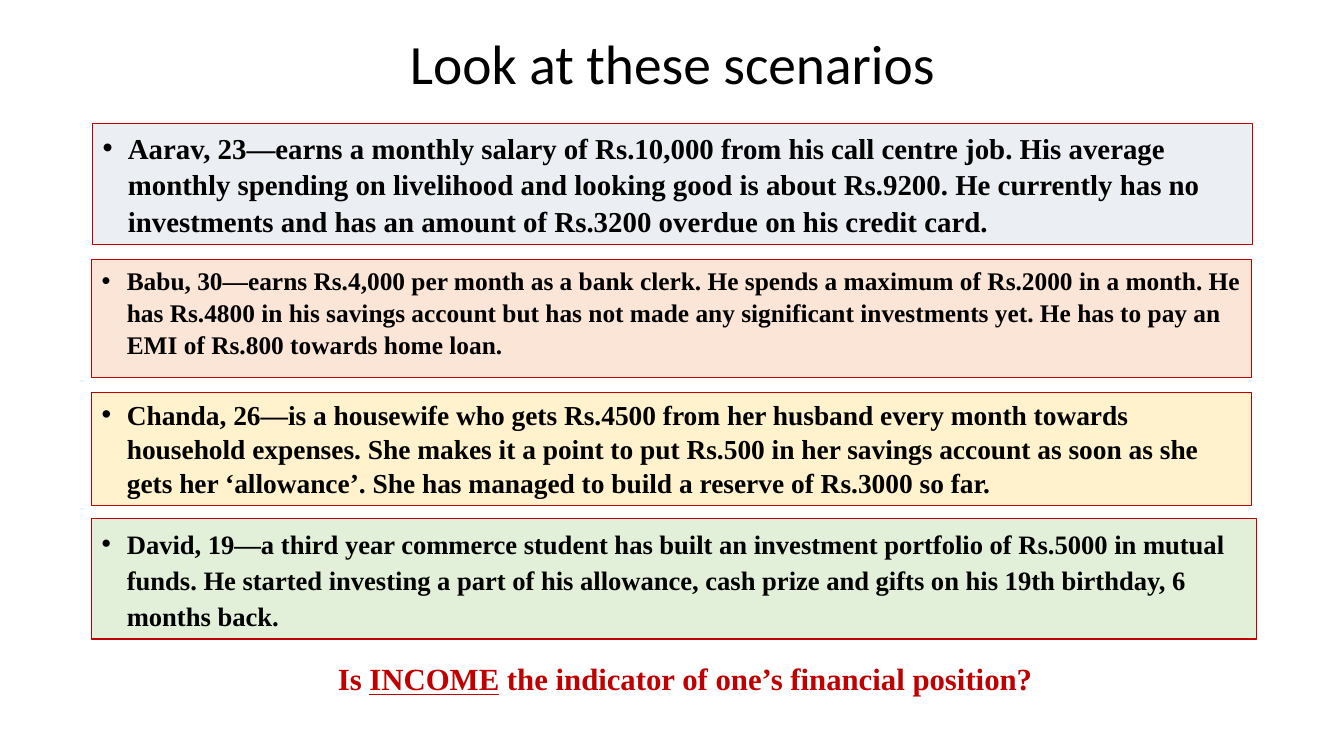
import pptx
import pptx.dml.color
import pptx.enum.shapes
import pptx.enum.text
import pptx.util
from dataclasses import dataclass
from lxml import etree

Inches, Pt = pptx.util.Inches, pptx.util.Pt
ANCHOR, ALIGN = pptx.enum.text.MSO_ANCHOR, pptx.enum.text.PP_ALIGN


@dataclass(frozen=True)
class Theme:
    title_font: str = "Calibri"
    body_font: str = "Times New Roman"
    ink: str = "000000"
    accent: str = "C00000"
    aarav_fill: str = "EBEEF2"
    babu_fill: str = "FBE5D6"
    chanda_fill: str = "FFF2CC"
    david_fill: str = "E2F0D9"
    title_size: float = 39.6
    question_size: float = 22
    aarav_size: float = 20.6
    babu_size: float = 18.1
    chanda_size: float = 19.6
    david_size: float = 19


THEME = Theme()

# Box, fill, type size, line spacing and wording of each scenario
SCENARIOS = [
    ((0.92, 1.23, 11.5, 1.2), THEME.aarav_fill, THEME.aarav_size, 1.05,
     "Aarav, 23—earns a monthly salary of Rs.10,000 from his call centre job. "
     "His average monthly spending on livelihood and looking good is about Rs.9200. "
     "He currently has no investments and has an amount of Rs.3200 overdue on his credit card."),
    ((0.91, 2.57, 11.5, 1.18), THEME.babu_fill, THEME.babu_size, 1.05,
     "Babu, 30—earns Rs.4,000 per month as a bank clerk. He spends a maximum of Rs.2000 "
     "in a month. He has Rs.4800 in his savings account but has not made any significant "
     "investments yet. He has to pay an EMI of Rs.800 towards home loan."),
    ((0.91, 3.89, 11.5, 1.13), THEME.chanda_fill, THEME.chanda_size, 1.03,
     "Chanda, 26—is a housewife who gets Rs.4500 from her husband every month towards "
     "household expenses. She makes it a point to put Rs.500 in her savings account as soon "
     "as she gets her ‘allowance’. She has managed to build a reserve of Rs.3000 so far."),
    ((0.91, 5.14, 11.55, 1.2), THEME.david_fill, THEME.david_size, 1.14,
     "David, 19—a third year commerce student has built an investment portfolio of Rs.5000 "
     "in mutual funds. He started investing a part of his allowance, cash prize and gifts "
     "on his 19th birthday, 6 months back."),
]


def rgb(value):
    return pptx.dml.color.RGBColor.from_string(value)


def add_run(p, text, *, size, font=THEME.body_font, color=THEME.ink, bold=True, underline=False):
    r = p.add_run()
    r.text = text
    r.font.name, r.font.size = font, Pt(size)
    r.font.bold, r.font.underline = bold, underline
    r.font.color.rgb = rgb(color)


def add_bullet(p, indent=0.25):
    pPr = p._p.get_or_add_pPr()
    pPr.set("marL", str(Inches(indent)))
    pPr.set("indent", str(Inches(-indent)))
    ns = pptx.oxml.ns.qn
    etree.SubElement(pPr, ns("a:buFont")).set("typeface", "Arial")
    etree.SubElement(pPr, ns("a:buChar")).set("char", "•")


def add_line(slide, box, anchor):
    """Centred one-line text box; returns its paragraph."""
    tf = slide.shapes.add_textbox(*map(Inches, box)).text_frame
    tf.word_wrap, tf.vertical_anchor = True, anchor
    p = tf.paragraphs[0]
    p.alignment = ALIGN.CENTER
    return p


def add_title(slide, box):
    p = add_line(slide, box, ANCHOR.MIDDLE)
    p.line_spacing = 0.9
    add_run(p, "Look at these scenarios", size=THEME.title_size,
            font=THEME.title_font, bold=False)


def add_scenario(slide, box, fill, size, spacing, text):
    sp = slide.shapes.add_shape(pptx.enum.shapes.MSO_SHAPE.RECTANGLE, *map(Inches, box))
    sp.shadow.inherit = False
    sp.fill.solid()
    sp.fill.fore_color.rgb = rgb(fill)
    sp.line.color.rgb = rgb(THEME.accent)
    sp.line.width = Pt(0.75)
    tf = sp.text_frame
    tf.word_wrap, tf.vertical_anchor = True, ANCHOR.TOP
    p = tf.paragraphs[0]
    add_bullet(p)
    p.alignment, p.line_spacing = ALIGN.LEFT, spacing
    add_run(p, text, size=size)


def add_question(slide, box):
    p = add_line(slide, box, ANCHOR.TOP)
    style = dict(size=THEME.question_size, color=THEME.accent)
    add_run(p, "Is ", **style)
    add_run(p, "INCOME", underline=True, **style)
    add_run(p, " the indicator of one’s financial position?", **style)


def main():
    prs = pptx.Presentation()
    prs.slide_width, prs.slide_height = Inches(13.33), Inches(7.5)
    slide = prs.slides.add_slide(prs.slide_layouts[6])
    add_title(slide, (0.92, 0.4, 11.5, 0.52))
    for scenario in SCENARIOS:
        add_scenario(slide, *scenario)
    add_question(slide, (0.98, 6.5, 11.63, 0.47))
    prs.save("out.pptx")


if __name__ == "__main__":
    main()
